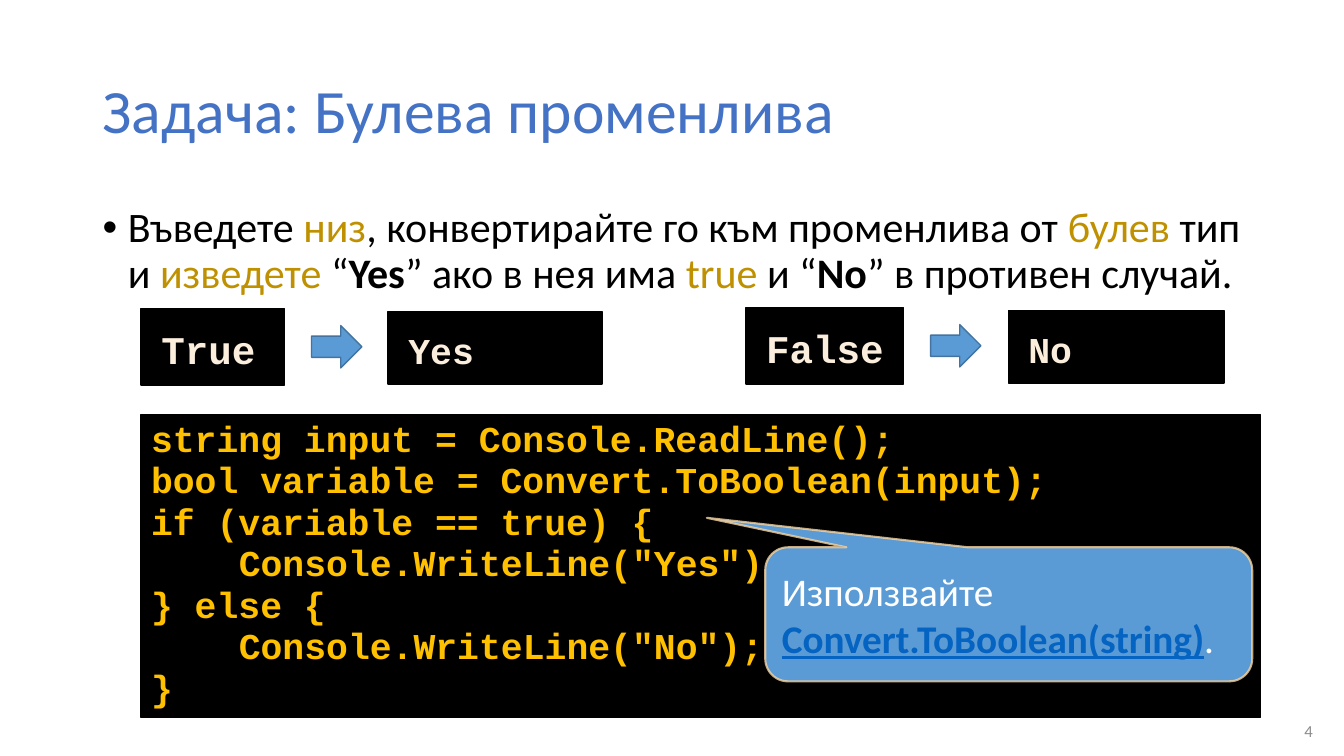
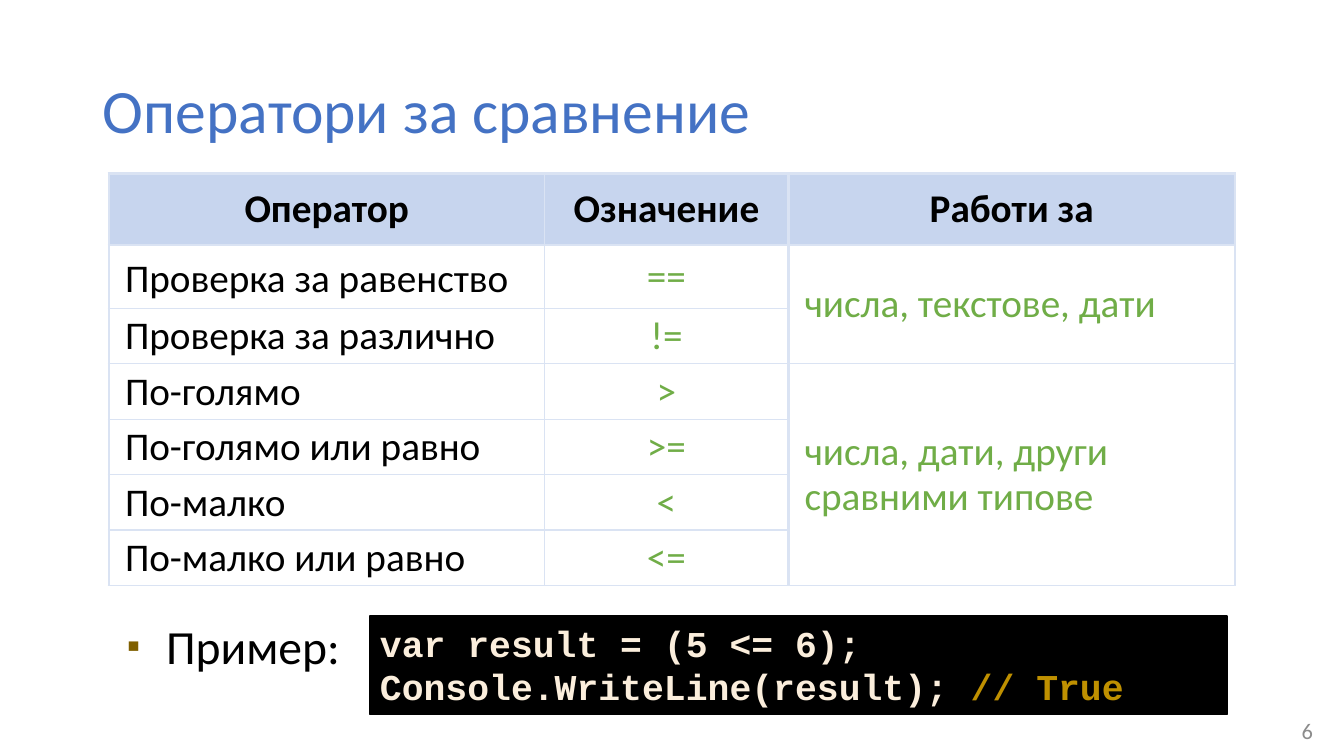
from lxml.etree import SubElement
from pptx import Presentation
from pptx.dml.color import RGBColor
from pptx.enum.shapes import MSO_SHAPE
from pptx.enum.text import MSO_ANCHOR, PP_ALIGN
from pptx.oxml.ns import qn
from pptx.util import Pt

PX = 9144  # 100 px to the inch
COLORS = {
    "title": "4472C4", "text": "000000", "gold": "BF9000", "page": "8C8C8C",
    "black": "000000", "cream": "FBEEDC", "amber": "FFC000", "white": "FFFFFF",
    "blue": "5B9BD5", "edge": "43739E", "sand": "F8D49E", "link": "0563C1",
    "head": "C7D5EE", "grid": "DAE3F3", "green": "70AD47", "brown": "806000",
}
SANS, MONO = "Calibri", "Courier New"


def rgb(name):
    return RGBColor.from_string(COLORS[name])


def px(*sizes):
    return [size * PX for size in sizes]


class Deck:
    def __init__(self):
        self.prs = Presentation()
        self.prs.slide_width, self.prs.slide_height = px(1333, 750)
        self.slide = None

    def start(self, title, page, size):
        self.slide = self.prs.slides.add_slide(self.prs.slide_layouts[5])
        head = self.slide.shapes.title
        head.left, head.top, head.width, head.height = px(92, 40, 1150, 145)
        head.text_frame.vertical_anchor = MSO_ANCHOR.MIDDLE
        self.typeset(head.text_frame, [title], 44, "title", space=0.9)
        self.text((1265, 714, 47, 21), [str(page)], size, "page",
                  align=PP_ALIGN.RIGHT, anchor=MSO_ANCHOR.MIDDLE)

    def typeset(self, frame, lines, size, color, font=SANS, bold=False,
                align=PP_ALIGN.LEFT, space=1.0, bullet=None, indent=0):
        """Each line is a string or a list of runs: strings or (text, color, bold, underline)."""
        frame.word_wrap = True
        for i, line in enumerate(lines):
            para = frame.paragraphs[0] if i == 0 else frame.add_paragraph()
            if bullet:
                self.mark(para, *bullet)
            para.alignment, para.line_spacing = align, space
            para.font.name, para.font.size = font, Pt(size)
            para.font.bold, para.font.color.rgb = bold, rgb(color)
            if isinstance(line, str):
                step = line.lstrip(" ")
                if step != line:
                    para._p.get_or_add_pPr().set("marL", str(indent * PX))
                line = [step]
            for part in line:
                run = para.add_run()
                if isinstance(part, str):
                    run.text = part
                else:
                    run.text, tint, run.font.bold, run.font.underline = part
                    run.font.color.rgb = rgb(tint)

    def mark(self, para, char, hang, color=None, scale=100):
        props = para._p.get_or_add_pPr()
        props.set("marL", str(hang * PX))
        props.set("indent", str(-hang * PX))
        if color:
            tint = SubElement(props, qn("a:buClr"))
            SubElement(tint, qn("a:srgbClr"), val=COLORS[color])
        SubElement(props, qn("a:buSzPct"), val=str(scale * 1000))
        SubElement(props, qn("a:buFont"), typeface="Arial")
        SubElement(props, qn("a:buChar"), char=char)

    def text(self, box, lines, size, color, anchor=MSO_ANCHOR.TOP, **style):
        frame = self.slide.shapes.add_textbox(*px(*box)).text_frame
        frame.vertical_anchor = anchor
        self.typeset(frame, lines, size, color, **style)

    def shape(self, kind, box, fill, line, width=1):
        shape = self.slide.shapes.add_shape(kind, *px(*box))
        shape.shadow.inherit = False
        shape.fill.solid()
        shape.fill.fore_color.rgb = rgb(fill)
        shape.line.color.rgb = rgb(line)
        shape.line.width = Pt(width)
        return shape

    def code(self, box, lines, size=26, color="cream", pad=(10, 5, 10, 5), **style):
        shape = self.shape(MSO_SHAPE.RECTANGLE, box, "black", "black")
        frame = shape.text_frame
        frame.vertical_anchor = MSO_ANCHOR.TOP
        (frame.margin_left, frame.margin_top,
         frame.margin_right, frame.margin_bottom) = px(*pad)
        self.typeset(frame, lines, size, color, MONO, True, **style)

    def label(self, box, word, size):
        self.code(box, [word], size, pad=(20, 12, 10, 12), space=1.1)

    def arrow(self, left, top):
        self.shape(MSO_SHAPE.RIGHT_ARROW, (left, top, 50, 42), "blue", "edge")

    def callout(self, box, adjust, runs):
        shape = self.shape(MSO_SHAPE.ROUNDED_RECTANGULAR_CALLOUT, box, "blue", "sand", 1.5)
        for i, value in enumerate(adjust):
            shape.adjustments[i] = value
        tint = shape.line._ln.find(".//" + qn("a:srgbClr"))
        SubElement(tint, qn("a:alpha"), val="80000")
        shape.text_frame.vertical_anchor = MSO_ANCHOR.MIDDLE
        self.typeset(shape.text_frame, [runs], 28, "white")

    def table(self, box, widths, heights, rows, spans):
        """Spans are (column, first row, last row)."""
        grid = self.slide.shapes.add_table(len(rows), len(widths), *px(*box)).table
        grid.first_row = grid.horz_banding = False
        for col, width in zip(grid.columns, px(*widths)):
            col.width = width
        for row, height in zip(grid.rows, px(*heights)):
            row.height = height
        for r, row in enumerate(rows):
            for c, word in enumerate(row):
                self.cell(grid.cell(r, c), r, c, word)
        for c, first, last in spans:
            grid.cell(first, c).merge(grid.cell(last, c))

    def cell(self, cell, row, col, word):
        thick = {"L": col != 1, "R": col > 0, "T": row < 2, "B": row == 0}
        props = cell._tc.get_or_add_tcPr()
        for side, heavy in thick.items():
            line = SubElement(props, qn("a:ln" + side), w=str(Pt(2.25 if heavy else 1)))
            fill = SubElement(line, qn("a:solidFill"))
            SubElement(fill, qn("a:srgbClr"), val=COLORS["grid"])
        if row == 0:
            cell.fill.solid()
            cell.fill.fore_color.rgb = rgb("head")
        else:
            cell.fill.background()
        cell.vertical_anchor = MSO_ANCHOR.MIDDLE
        (cell.margin_left, cell.margin_top,
         cell.margin_right, cell.margin_bottom) = px(16, 5, 16, 5)
        if word:
            self.typeset(cell.text_frame, [word], 28,
                         "green" if row and col else "text", bold=row == 0,
                         align=PP_ALIGN.CENTER if row == 0 or col == 1 else PP_ALIGN.LEFT,
                         space=Pt(38) if (row, col) == (1, 0) else 0.95)


def gold(word):
    return word, "gold", False, False


def strong(word):
    return word, "text", True, False


def task(deck):
    deck.start("Задача: Булева променлива", 4, 12)
    deck.text((92, 200, 1150, 476), [[
        "Въведете ", gold("низ"), ", конвертирайте го към променлива от ",
        gold("булев "), "тип и ", gold("изведете "), "“", strong("Yes"),
        "” ако в нея има ", gold("true "), "и “", strong("No"),
        "” в противен случай."]], 30, "text", space=0.9, bullet=("•", 25))
    deck.label((140, 306, 142, 76), "True", 28)
    deck.label((385, 309, 212, 72), "Yes", 26)
    deck.arrow(309, 323)
    deck.label((740, 305, 156, 76), "False", 28)
    deck.label((1000, 308, 214, 72), "No", 26)
    deck.arrow(923, 322)
    deck.code((140, 411, 1110, 301), [
        "string input = Console.ReadLine();",
        "bool variable = Convert.ToBoolean(input);",
        "if (variable == true) {",
        " Console.WriteLine(\"Yes\");",
        "} else {",
        " Console.WriteLine(\"No\");",
        "}"], color="amber", space=0.95, indent=87)
    deck.callout((759, 543, 483, 133), (-0.62, -0.72, 0.17), [
        "Използвайте ", ("Convert.ToBoolean(string)", "link", True, True), "."])


def compare(deck):
    deck.start("Оператори за сравнение", 6, 16)
    deck.table((108, 172, 1117, 405), (432, 242, 443), (71, 62) + (55,) * 5, [
        ("Оператор", "Означение", "Работи за"),
        ("Проверка за равенство", "==", "числа, текстове, дати"),
        ("Проверка за различно", "!=", ""),
        ("По-голямо", ">", "числа, дати, други сравними типове"),
        ("По-голямо или равно", ">=", ""),
        ("По-малко", "<", ""),
        ("По-малко или равно", "<=", "")], [(2, 1, 2), (2, 3, 6)])
    deck.code((367, 611, 850, 98), [
        "var result = (5 <= 6);",
        ["Console.WriteLine(result); ", ("// True", "gold", True, False)]])
    deck.text((116, 611, 251, 75), ["Пример:"], 34, "text", space=Pt(38),
              bullet=("▪", 39, "brown", 80))


def main():
    deck = Deck()
    task(deck)
    compare(deck)
    deck.prs.save("out.pptx")


if __name__ == "__main__":
    main()
